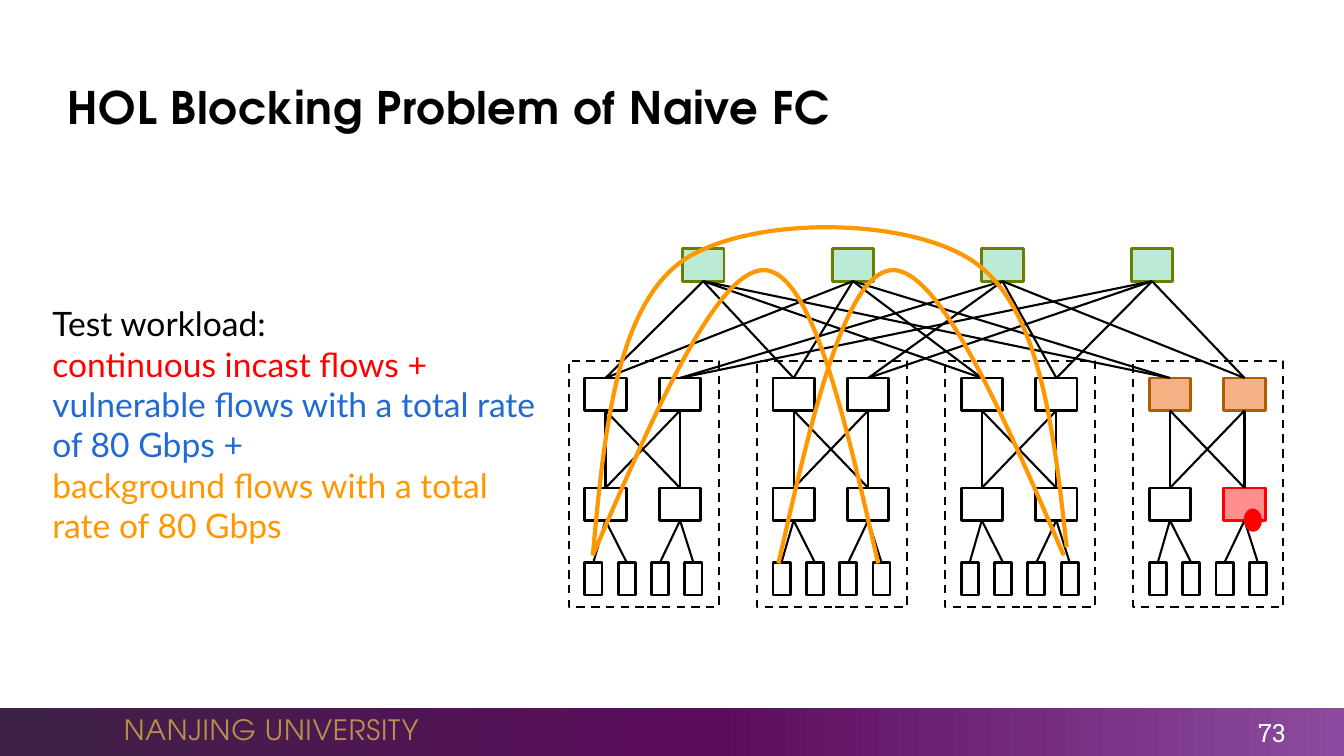
import copy

import pptx
import pptx.dml.color
import pptx.enum.dml
import pptx.enum.shapes
import pptx.enum.text
import pptx.oxml
import pptx.oxml.ns
import pptx.util

RGBColor = pptx.dml.color.RGBColor
Pt = pptx.util.Pt
MSO_SHAPE = pptx.enum.shapes.MSO_SHAPE
MSO_ANCHOR = pptx.enum.text.MSO_ANCHOR
MSO_AUTO_SIZE = pptx.enum.text.MSO_AUTO_SIZE
PP_ALIGN = pptx.enum.text.PP_ALIGN
qn = pptx.oxml.ns.qn

BLACK = RGBColor(0x00, 0x00, 0x00)
WHITE = RGBColor(0xFF, 0xFF, 0xFF)
RED = RGBColor(0xFF, 0x00, 0x00)
BLUE = RGBColor(0x21, 0x69, 0xD3)
ORANGE = RGBColor(0xFF, 0x98, 0x00)
GOLD = RGBColor(0xB8, 0x8F, 0x4C)
MINT = RGBColor(0xBB, 0xEA, 0xD5)
OLIVE = RGBColor(0x6C, 0x7E, 0x00)
PEACH = RGBColor(0xF4, 0xB1, 0x83)
BROWN = RGBColor(0xAD, 0x5E, 0x00)
PINK = RGBColor(0xFF, 0x8F, 0x8F)
BAR_STOPS = [
    (0, RGBColor(0x3E, 0x21, 0x46)),
    (0.53, RGBColor(0x5C, 0x0C, 0x5C)),
    (1, RGBColor(0x8C, 0x4B, 0xA0)),
]

TITLE = {"name": "TeX Gyre Adventor", "size": Pt(32), "bold": True}
FOOTER = {"name": "TeX Gyre Adventor", "size": Pt(20)}
NUMBER = {"name": "Roboto Slab", "size": Pt(18)}
BODY = {"name": "Lato", "size": Pt(24)}

SWITCH_WIDTH, BOX_HEIGHT, HOST_WIDTH = 3.08, 4.3, 1.28
CORE_LEFT, CORE_PITCH, CORE_TOP = 50.79, 11.13, 32.9
POD_LEFT, POD_PITCH, POD_TOP, POD_WIDTH, POD_HEIGHT = 42.31, 14, 47.73, 11.18, 32.53
POD_MARGIN, SWITCH_PITCH, HOST_PITCH = 1.2, 5.55, 2.48
AGGREGATION_TOP, EDGE_TOP, HOST_TOP = 50, 64.55, 74.4

LONG_FLOW = [
    (44.11, 73.47), (44.94, 57.33), (45.84, 41.2), (50.56, 34.8), (55.36, 28.4),
    (67.89, 28.53), (72.69, 34.93), (77.42, 41.2), (78.4, 56.8), (79.37, 72.4),
]
RIGHT_FLOW = [
    (57.92, 74.53), (60.39, 55.2), (62.87, 36), (66.39, 35.73),
    (69.92, 35.6), (74.57, 54.53), (79.15, 73.47),
]
LEFT_FLOW = [(123.26 - column, row) for column, row in RIGHT_FLOW]


class SlideBuilder:
    columns = 100
    rows = 100

    def __init__(self, presentation):
        self.width = presentation.slide_width
        self.height = presentation.slide_height
        self.slide = presentation.slides.add_slide(presentation.slide_layouts[5])
        self.shapes = self.slide.shapes

    def point(self, column, row):
        return round(column * self.width / self.columns), round(row * self.height / self.rows)

    def area(self, left, top, width, height):
        return *self.point(left, top), *self.point(width, height)

    def box(self, area, fill=None, line=BLACK, weight=2, dash=None, kind=MSO_SHAPE.RECTANGLE):
        shape = self.shapes.add_shape(kind, *self.area(*area))
        shape.shadow.inherit = False
        if fill is None:
            shape.fill.background()
        else:
            shape.fill.solid()
            shape.fill.fore_color.rgb = fill
        self.outline(shape, line, weight, dash)
        return shape

    def outline(self, shape, color, weight, dash=None):
        if color is None:
            shape.line.fill.background()
            return
        shape.line.color.rgb = color
        shape.line.width = Pt(weight)
        shape.line.dash_style = dash

    def gradient_bar(self, area, stops):
        shape = self.box(area, line=None)
        shape.fill.gradient()
        shape.fill.gradient_angle = 0
        stop_list = shape._element.spPr.find(".//" + qn("a:gsLst"))
        stop_list.insert(1, copy.deepcopy(stop_list[0]))
        for stop, (position, color) in zip(shape.fill.gradient_stops, stops):
            stop.position = position
            stop.color.rgb = color

    def link(self, upper, lower):
        connector = self.shapes.add_connector(pptx.enum.shapes.MSO_CONNECTOR.STRAIGHT, 0, 0, 0, 0)
        connector.begin_connect(upper, 2)
        connector.end_connect(lower, 0)
        connector._element.spPr.append(pptx.oxml.parse_xml(
            f"<a:effectLst {pptx.oxml.ns.nsdecls('a')}/>"))
        self.outline(connector, BLACK, 1.5)

    def curve(self, points, color, weight):
        start, *others = [self.point(*point) for point in points]
        builder = self.shapes.build_freeform(*start)
        builder.add_line_segments(others, close=False)
        shape = builder.convert_to_shape()
        segments = list(shape._element.iter(qn("a:lnTo")))
        for first in range(0, len(segments), 3):
            bezier = segments[first].makeelement(qn("a:cubicBezTo"), {})
            segments[first].addprevious(bezier)
            for segment in segments[first:first + 3]:
                bezier.append(segment[0])
                segment.getparent().remove(segment)
        shape.shadow.inherit = False
        shape.fill.background()
        self.outline(shape, color, weight)

    def text(self, area, lines, style, **format_values):
        shape = self.shapes.add_textbox(*self.area(*area))
        self.set_lines(shape, lines, style, **format_values)

    def title(self, area, text, style):
        shape = self.shapes.title
        shape.left, shape.top, shape.width, shape.height = self.area(*area)
        self.set_lines(shape, [(text, BLACK)], style, spacing=50,
                       vertical_anchor=MSO_ANCHOR.MIDDLE)

    def set_lines(self, shape, lines, style, alignment=PP_ALIGN.LEFT, spacing=0, **frame_values):
        frame = shape.text_frame
        frame_values = {"word_wrap": True, "auto_size": MSO_AUTO_SIZE.NONE, **frame_values}
        for name, value in frame_values.items():
            setattr(frame, name, value)
        for index, (text, color) in enumerate(lines):
            paragraph = frame.add_paragraph() if index else frame.paragraphs[0]
            paragraph.alignment = alignment
            run = paragraph.add_run()
            run.text = text
            for name, value in style.items():
                setattr(run.font, name, value)
            run.font.color.rgb = color
            if spacing:
                run._r.get_or_add_rPr().set("spc", str(spacing))

    def row_of_boxes(self, left, top, pitch, width, colors):
        return [
            self.box((left + index * pitch, top, width, BOX_HEIGHT), fill, line)
            for index, (fill, line) in enumerate(colors)
        ]

    def pod(self, left, aggregation_colors, edge_colors):
        inner = left + POD_MARGIN
        edges = self.row_of_boxes(inner, EDGE_TOP, SWITCH_PITCH, SWITCH_WIDTH, edge_colors)
        aggregations = self.row_of_boxes(
            inner, AGGREGATION_TOP, SWITCH_PITCH, SWITCH_WIDTH, aggregation_colors)
        self.box((left, POD_TOP, POD_WIDTH, POD_HEIGHT), weight=1.5,
                 dash=pptx.enum.dml.MSO_LINE.DASH)
        for aggregation in aggregations:
            for edge in edges:
                self.link(aggregation, edge)
        hosts = self.row_of_boxes(inner, HOST_TOP, HOST_PITCH, HOST_WIDTH, [(None, BLACK)] * 4)
        for index, host in enumerate(hosts):
            self.link(edges[index // 2], host)
        return aggregations


def main():
    presentation = pptx.Presentation()
    presentation.slide_width = pptx.util.Inches(13.33)
    presentation.slide_height = pptx.util.Inches(7.5)
    builder = SlideBuilder(presentation)

    builder.gradient_bar((0, 93.6, 100, 6.4), BAR_STOPS)
    builder.text((8.48, 93.6, 23.78, 5.87), [("NANJING UNIVERSITY", GOLD)], FOOTER, spacing=50,
                 word_wrap=False, vertical_anchor=MSO_ANCHOR.MIDDLE)
    builder.text((88.45, 94.53, 7.95, 4.67), [("73", WHITE)], NUMBER,
                 alignment=PP_ALIGN.RIGHT, vertical_anchor=MSO_ANCHOR.MIDDLE)
    builder.title((4.28, 8.93, 90.02, 10.27), "HOL Blocking Problem of Naive FC", TITLE)

    cores = builder.row_of_boxes(CORE_LEFT, CORE_TOP, CORE_PITCH, SWITCH_WIDTH,
                                 [(MINT, OLIVE)] * 4)
    plain = [(None, BLACK)] * 2
    pod_colors = [(plain, plain)] * 3 + [([(PEACH, BROWN)] * 2, [(None, BLACK), (PINK, RED)])]
    pods = [
        builder.pod(POD_LEFT + index * POD_PITCH, *colors)
        for index, colors in enumerate(pod_colors)
    ]
    for index, core in enumerate(cores):
        for aggregations in pods:
            builder.link(core, aggregations[index // 2])

    hotspot = builder.box((92.35, 67.6, 1.73, 2.4), RED, None, kind=MSO_SHAPE.OVAL)
    hotspot.rotation = 87.2
    for flow in (LONG_FLOW, RIGHT_FLOW, LEFT_FLOW):
        builder.curve(flow, ORANGE, 3)

    builder.text((3.15, 39.47, 37.96, 33.6), [
        ("Test workload:", BLACK),
        ("continuous incast flows +", RED),
        ("vulnerable flows with a total rate of 80 Gbps +", BLUE),
        ("background flows with a total rate of 80 Gbps", ORANGE),
    ], BODY, auto_size=MSO_AUTO_SIZE.SHAPE_TO_FIT_TEXT)
    presentation.save("out.pptx")


if __name__ == "__main__":
    main()
